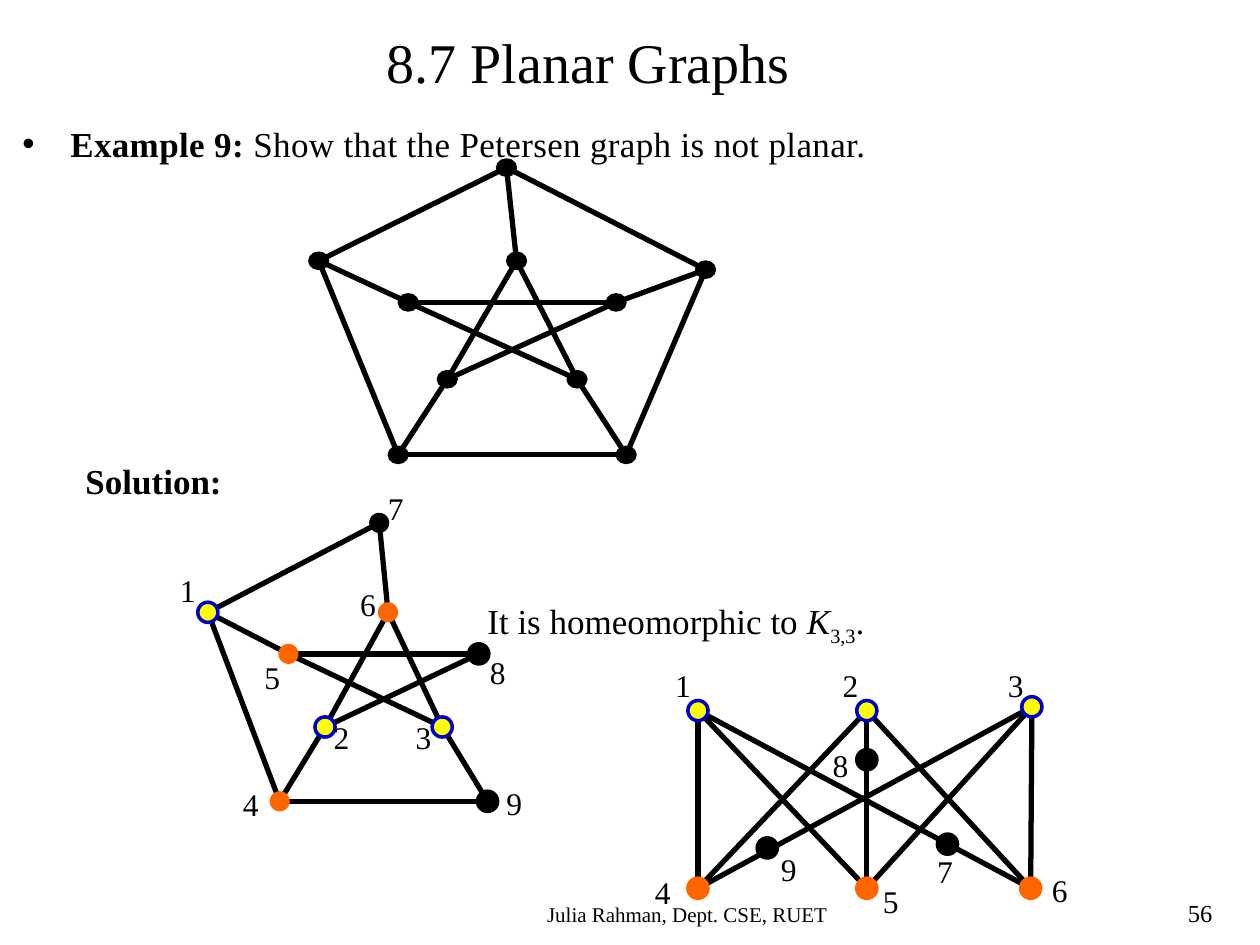
"""Build the slide showing that the Petersen graph is not planar."""
from itertools import product

from lxml.etree import SubElement
from pptx import Presentation
from pptx.dml.color import RGBColor
from pptx.enum.shapes import MSO_CONNECTOR, MSO_SHAPE
from pptx.enum.text import MSO_ANCHOR, PP_ALIGN
from pptx.oxml.ns import qn
from pptx.util import Inches, Pt

FONT = "Times New Roman"
COLORS = {"black": "000000", "yellow": "FFFF00", "blue": "0000CC", "orange": "FF6600"}
STYLES = {
    "plain": ("black", "black"),
    "bare": ("black", None),
    "top": ("yellow", "blue"),
    "bottom": ("orange", "orange"),
    "flat": ("orange", None),
}

TITLE = "8.7 Planar Graphs"
TEXTS = [
    ((0.08, 0.92, 9.92, 0.42),
     [("Example 9: ", {"bold": True}), ("Show that the Petersen graph is not planar.", {})],
     {"size": 20, "spacing": 20, "bullet": True}),
    ((0.58, 3.6, 2, 0.42), [("Solution:", {"bold": True})], {"size": 20}),
    ((3.77, 4.71, 4, 0.42),
     [("It is homeomorphic to ", {}), ("K", {"italic": True}), ("3,3", {"baseline": -25000}), (".", {})],
     {"size": 20}),
    ((9.33, 7.08, 0.67, 0.33), [("56", {})], {"size": 14}),
    ((2.58, 7.11, 5.75, 0.3), [("Julia Rahman, Dept. CSE, RUET", {})],
     {"size": 12, "align": PP_ALIGN.CENTER}),
]

OUTER = [(4.02, 1.33), (5.6, 2.14), (4.97, 3.61), (3.16, 3.61), (2.53, 2.07)]
INNER = [(4.1, 2.07), (4.89, 2.4), (4.58, 3.01), (3.55, 3.01), (3.24, 2.4)]
PETERSEN = {i: (xy, "plain", None) for i, xy in enumerate(OUTER + INNER)}
PETERSEN_EDGES = [
    edge for i in range(5)
    for edge in ((i, (i + 1) % 5), (i, i + 5), (i + 5, (i + 2) % 5 + 5))
]

SUBGRAPH = {
    "1": ((1.65, 4.86), "top", (1.33, 4.48)),
    "2": ((2.58, 5.77), "top", (2.55, 5.65)),
    "3": ((3.51, 5.77), "top", (3.2, 5.65)),
    "4": ((2.22, 6.36), "flat", (1.83, 6.18)),
    "5": ((2.29, 5.19), "flat", (2, 5.17)),
    "6": ((3.08, 4.86), "flat", (2.76, 4.59)),
    "7": ((3.01, 4.15), "bare", (2.98, 3.83)),
    "8": ((3.8, 5.19), "plain", (3.79, 5.13)),
    "9": ((3.87, 6.36), "plain", (3.92, 6.17)),
}
SUBGRAPH_EDGES = ["17", "76", "15", "14", "58", "53", "63", "62", "82", "24", "39", "49"]

K33 = {
    "1": ((5.54, 5.64), "top", (5.26, 5.24)),
    "2": ((6.88, 5.64), "top", (6.59, 5.24)),
    "3": ((8.19, 5.61), "top", (7.9, 5.24)),
    "4": ((5.54, 7.05), "bottom", (5.1, 6.88)),
    "5": ((6.88, 7.05), "bottom", (6.91, 6.95)),
    "6": ((8.18, 7.05), "bottom", (8.25, 6.86)),
    "7": ((7.52, 6.7), "plain", (7.34, 6.71)),
    "8": ((6.88, 6.03), "plain", (6.51, 5.87)),
    "9": ((6.09, 6.73), "plain", (6.1, 6.7)),
}
K33_EDGES = list(product("123", "456"))

GRAPHS = [
    (PETERSEN, PETERSEN_EDGES, (0.14, 0.12)),
    (SUBGRAPH, SUBGRAPH_EDGES, (0.16, 0.16)),
    (K33, K33_EDGES, (0.16, 0.16)),
]


def rgb(name):
    return RGBColor.from_string(COLORS[name])


def write(sp, runs, size=18, align=PP_ALIGN.LEFT, wrap=True, spacing=None, bullet=False):
    tf = sp.text_frame
    tf.word_wrap = wrap
    tf.vertical_anchor = MSO_ANCHOR.TOP
    p = tf.paragraphs[0]
    p.alignment = align
    if bullet:
        pPr = p._p.get_or_add_pPr()
        pPr.set("marL", str(Inches(0.38)))
        pPr.set("indent", str(-Inches(0.38)))
        SubElement(pPr, qn("a:buFont")).set("typeface", "Arial")
        SubElement(pPr, qn("a:buChar")).set("char", "•")
    for text, fmt in runs:
        r = p.add_run()
        r.text = text
        r.font.name, r.font.size = FONT, Pt(size)
        r.font.color.rgb = rgb("black")
        r.font.bold = fmt.get("bold", False)
        r.font.italic = fmt.get("italic", False)
        rPr = r._r.get_or_add_rPr()
        if "baseline" in fmt:
            rPr.set("baseline", str(fmt["baseline"]))
        if spacing:
            rPr.set("spc", str(spacing))


def add_text(s, box, runs, **fmt):
    write(s.shapes.add_textbox(*map(Inches, box)), runs, **fmt)


def add_edge(s, start, end):
    line = s.shapes.add_connector(MSO_CONNECTOR.STRAIGHT, *map(Inches, start + end))
    line.line.color.rgb = rgb("black")
    line.line.width = Pt(3)
    SubElement(line._element.spPr, qn("a:effectLst"))


def add_node(s, center, style, size):
    (x, y), (w, h) = center, size
    sp = s.shapes.add_shape(MSO_SHAPE.OVAL, *map(Inches, (x - w / 2, y - h / 2, w, h)))
    sp.shadow.inherit = False
    fill, outline = STYLES[style]
    sp.fill.solid()
    sp.fill.fore_color.rgb = rgb(fill)
    if outline:
        sp.line.color.rgb = rgb(outline)
        sp.line.width = Pt(2)
    else:
        sp.line.fill.background()


def add_graph(s, nodes, edges, size):
    for a, b in edges:
        add_edge(s, nodes[a][0], nodes[b][0])
    for name, (center, style, label_at) in nodes.items():
        add_node(s, center, style, size)
        if label_at:
            add_text(s, (*label_at, 0.33, 0.41), [(name, {})], wrap=False)


def main():
    prs = Presentation()
    prs.slide_width, prs.slide_height = Inches(10), Inches(7.5)
    s = prs.slides.add_slide(prs.slide_layouts[5])
    title = s.shapes.title
    title.left, title.top, title.width, title.height = map(Inches, (2.97, 0.17, 3.7, 0.64))
    write(title, [(TITLE, {})], size=32)
    for box, runs, fmt in TEXTS:
        add_text(s, box, runs, **fmt)
    for nodes, edges, size in GRAPHS:
        add_graph(s, nodes, edges, size)
    prs.save("out.pptx")


if __name__ == "__main__":
    main()
